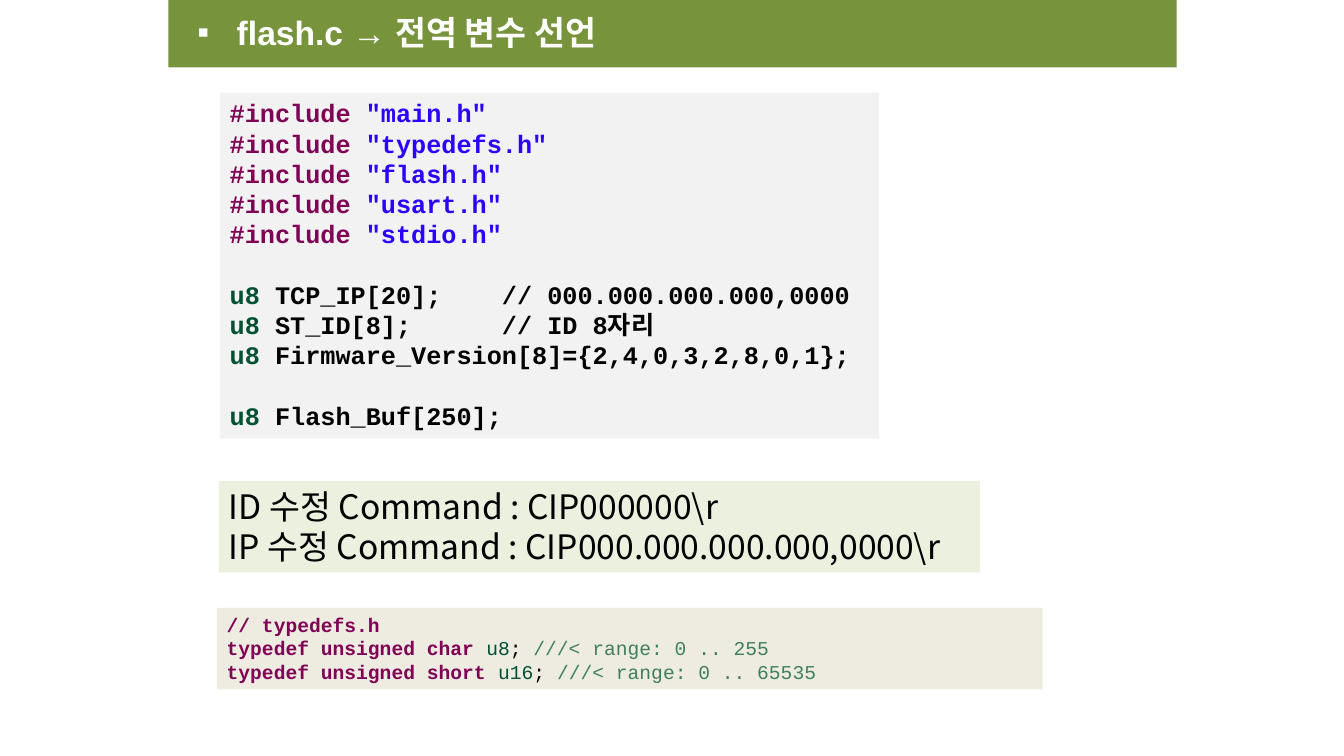
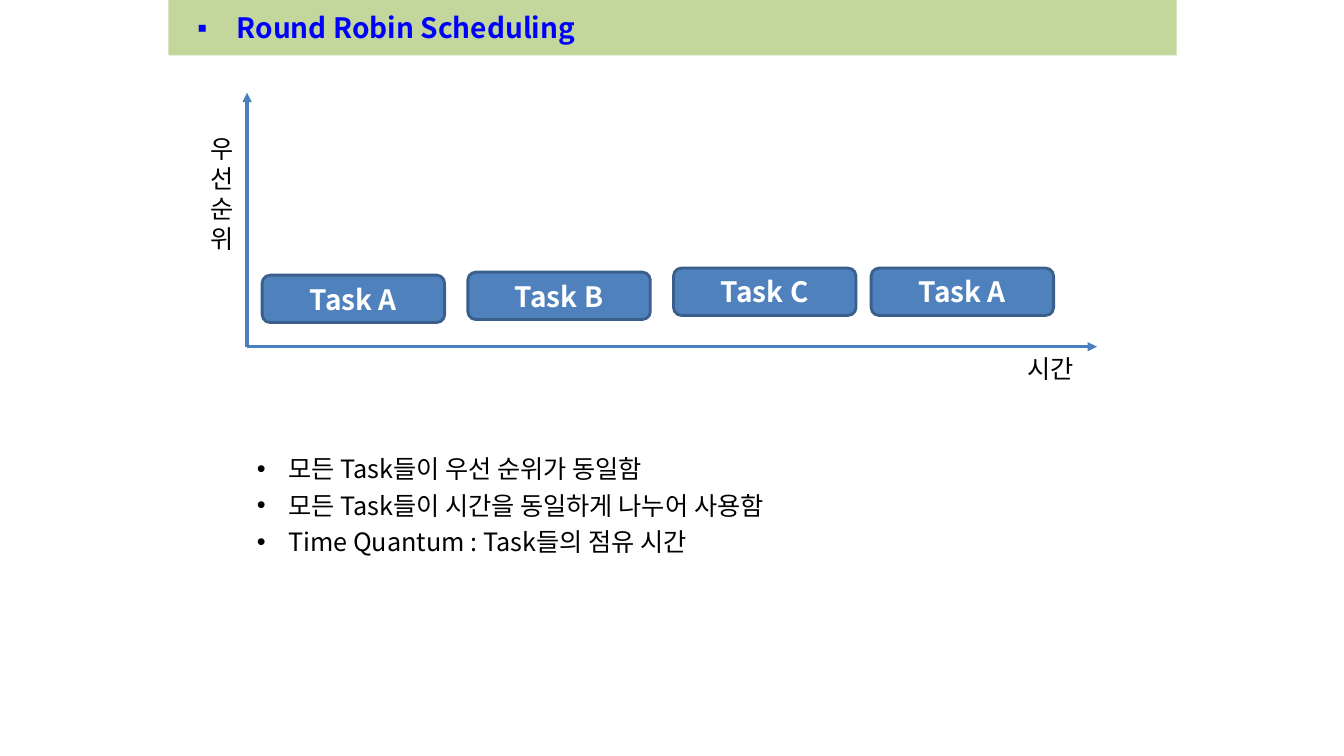
"""Build two slides: flash.c global variables and round robin scheduling."""
from dataclasses import dataclass

from lxml.etree import SubElement
from pptx import Presentation
from pptx.dml.color import RGBColor
from pptx.enum.shapes import MSO_CONNECTOR, MSO_SHAPE
from pptx.enum.text import MSO_ANCHOR, MSO_AUTO_SIZE, PP_ALIGN
from pptx.oxml.ns import qn
from pptx.util import Inches, Pt


@dataclass(frozen=True)
class Theme:
    sans: str = "Noto Sans CJK KR"
    heading: str = "Arial"
    mono: str = "Courier New"
    white: str = "FFFFFF"
    black: str = "000000"
    blue: str = "0000FF"
    dark_band: str = "77933C"
    light_band: str = "C3D69B"
    code_panel: str = "F2F2F2"
    typedef_panel: str = "EEECE1"
    command_panel: str = "EBF1DE"
    task_fill: str = "4F81BD"
    task_line: str = "3A5F8C"
    axis: str = "4B7EBC"
    large: int = 24
    medium: int = 20
    body: int = 18
    small: int = 14


THEME = Theme()
SYNTAX = {
    "keyword": ("7F0055", True),
    "string": ("2A00FF", True),
    "type": ("005032", True),
    "plain": (THEME.black, True),
    "light type": ("005032", False),
    "light plain": (THEME.black, False),
    "comment": ("3F7F5F", False),
}

HEADERS = ["main.h", "typedefs.h", "flash.h", "usart.h", "stdio.h"]
DECLARATIONS = [
    (" TCP_IP[20];    // 000.000.000.000,0000", False),
    (" ST_ID[8];      // ID 8자리", False),
    (" Firmware_Version[8]={2,4,0,3,2,8,0,1};", False),
    (" Flash_Buf[250];", True),
]
TYPEDEFS = [("char", "u8", 255), ("short", "u16", 65535)]
COMMANDS = [
    "ID 수정 Command : CIP000000\\r",
    "IP 수정 Command : CIP000.000.000.000,0000\\r",
]

TASKS = [("Task A", 2.6, 2.73), ("Task B", 4.64, 2.7), ("Task C", 6.68, 2.66), ("Task A", 8.64, 2.66)]
TASK_SIZE = (1.81, 0.47)
AXIS_ORIGIN = (2.45, 3.44)
AXIS_ENDS = [(10.88, 3.44), (2.45, 0.92)]
AXIS_LABELS = [(["시간"], (10.09, 3.46, 0.71, 0.4)), (list("우선순위"), (1.99, 1.27, 0.45, 1.31))]
POINTS = [
    "모든 Task들이 우선 순위가 동일함",
    "모든 Task들이 시간을 동일하게 나누어 사용함",
    "Time Quantum : Task들의 점유 시간",
]


def rgb(color):
    return RGBColor.from_string(color)


def add_panel(slide, box, fill, kind=MSO_SHAPE.RECTANGLE, line=None):
    panel = slide.shapes.add_shape(kind, *map(Inches, box))
    panel.shadow.inherit = False
    panel.fill.solid()
    panel.fill.fore_color.rgb = rgb(fill)
    if line:
        panel.line.color.rgb = rgb(line)
        panel.line.width = Pt(2)
    else:
        panel.line.fill.background()
    return panel


def set_font(paragraph, size, color, name=THEME.sans, bold=False):
    font = paragraph.font
    font.size, font.bold, font.name = Pt(size), bold, name
    font.color.rgb = rgb(color)
    east_asian = SubElement(paragraph._p.pPr.find(qn("a:defRPr")), qn("a:ea"))
    east_asian.set("typeface", THEME.sans)


def set_bullet(paragraph, symbol, left, hanging):
    properties = paragraph._p.get_or_add_pPr()
    properties.set("marL", str(Inches(left)))
    properties.set("indent", str(-Inches(hanging)))
    SubElement(properties, qn("a:buFont")).set("typeface", THEME.heading)
    SubElement(properties, qn("a:buChar")).set("char", symbol)


def paragraphs(frame, count):
    return [frame.paragraphs[0], *(frame.add_paragraph() for _ in range(count - 1))]


def write_lines(shape, lines, size, color=THEME.black, bold=False, align=PP_ALIGN.LEFT,
                anchor=MSO_ANCHOR.TOP, wrap=False, name=THEME.sans, bullet=None, spacing=None):
    frame = shape.text_frame
    frame.word_wrap = wrap
    frame.vertical_anchor = anchor
    if not wrap:
        frame.auto_size = MSO_AUTO_SIZE.SHAPE_TO_FIT_TEXT
    for paragraph, line in zip(paragraphs(frame, len(lines)), lines):
        paragraph.text = line
        paragraph.alignment = align
        if bullet:
            set_bullet(paragraph, *bullet)
        if spacing:
            paragraph.line_spacing = Pt(spacing)
        set_font(paragraph, size, color, name, bold)


def write_code(panel, lines, size):
    frame = panel.text_frame
    frame.word_wrap = True
    frame.vertical_anchor = MSO_ANCHOR.TOP
    for paragraph, (tokens, gap) in zip(paragraphs(frame, len(lines)), lines):
        paragraph.alignment = PP_ALIGN.LEFT
        if gap:
            paragraph.space_before = Pt(size * 1.2)
        set_font(paragraph, size, THEME.black, THEME.mono, True)
        for text, role in tokens:
            run = paragraph.add_run()
            run.text = text
            color, run.font.bold = SYNTAX[role]
            run.font.color.rgb = rgb(color)


def add_title(slide, title, top, height, fill, color, size, name):
    band = add_panel(slide, (1.67, top, 10, height), fill)
    write_lines(band, [title], size, color, True, anchor=MSO_ANCHOR.MIDDLE, wrap=True,
                name=name, bullet=("▪", 0.58, 0.39))


def add_arrow(slide, start, end):
    arrow = slide.shapes.add_connector(MSO_CONNECTOR.STRAIGHT, *map(Inches, start + end))
    arrow.line.color.rgb = rgb(THEME.axis)
    arrow.line.width = Pt(2.25)
    SubElement(arrow.line._get_or_add_ln(), qn("a:tailEnd")).set("type", "triangle")
    SubElement(arrow._element.spPr, qn("a:effectLst"))


def build_variables(slide):
    add_title(slide, "flash.c → 전역 변수 선언", -0.03, 0.7, THEME.dark_band,
              THEME.white, THEME.large, THEME.heading)
    includes = [([("#include ", "keyword"), (f'"{header}"', "string")], False) for header in HEADERS]
    variables = [([("u8", "type"), (rest, "plain")], gap) for rest, gap in DECLARATIONS]
    variables[0] = (variables[0][0], True)
    source = add_panel(slide, (2.18, 0.92, 6.54, 3.43), THEME.code_panel)
    write_code(source, includes + variables, THEME.body)

    typedefs = [([("// typedefs.h", "keyword")], False)]
    typedefs += [
        ([(f"typedef unsigned {base} ", "keyword"), (alias, "light type"),
          ("; ", "light plain"), (f"///< range: 0 .. {limit}", "comment")], False)
        for base, alias, limit in TYPEDEFS
    ]
    write_code(add_panel(slide, (2.15, 6.03, 8.19, 0.81), THEME.typedef_panel), typedefs, THEME.small)

    commands = add_panel(slide, (2.17, 4.77, 7.55, 0.91), THEME.command_panel)
    write_lines(commands, COMMANDS, THEME.large)


def build_scheduling(slide):
    add_title(slide, "Round Robin Scheduling", 0, 0.55, THEME.light_band,
              THEME.blue, THEME.medium, THEME.sans)
    for task, left, top in TASKS:
        block = add_panel(slide, (left, top, *TASK_SIZE), THEME.task_fill,
                          MSO_SHAPE.ROUNDED_RECTANGLE, THEME.task_line)
        write_lines(block, [task], THEME.medium, THEME.white, True, PP_ALIGN.CENTER,
                    MSO_ANCHOR.MIDDLE, wrap=True)
    for end in AXIS_ENDS:
        add_arrow(slide, AXIS_ORIGIN, end)
    for label, box in AXIS_LABELS:
        write_lines(slide.shapes.add_textbox(*map(Inches, box)), label, THEME.body)
    points = slide.shapes.add_textbox(*map(Inches, (2.45, 4.39, 5.73, 1.19)))
    write_lines(points, POINTS, THEME.body, bullet=("•", 0.31, 0.31), spacing=26)


def main():
    deck = Presentation()
    deck.slide_width, deck.slide_height = Inches(13.33), Inches(7.5)
    for build in (build_variables, build_scheduling):
        build(deck.slides.add_slide(deck.slide_layouts[6]))
    deck.save("out.pptx")


if __name__ == "__main__":
    main()
